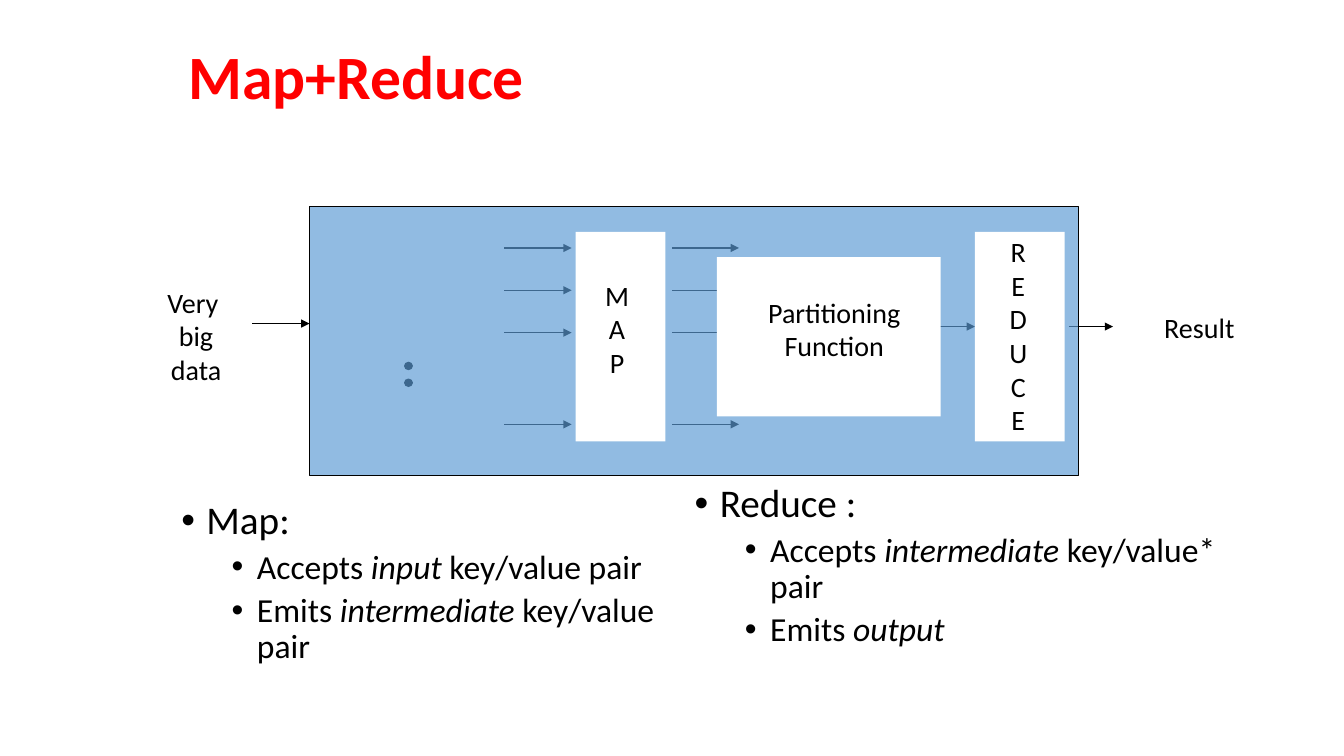
from lxml.etree import SubElement
from pptx import Presentation
from pptx.dml.color import RGBColor
from pptx.enum.dml import MSO_LINE
from pptx.enum.shapes import MSO_CONNECTOR, MSO_SHAPE
from pptx.enum.text import MSO_ANCHOR, PP_ALIGN
from pptx.oxml.ns import qn
from pptx.util import Pt

PX = 9144  # one hundredth of an inch
BLACK = RGBColor(0x00, 0x00, 0x00)
WHITE = RGBColor(0xFF, 0xFF, 0xFF)
RED = RGBColor(0xFF, 0x00, 0x00)
BLUE = RGBColor(0x5B, 0x9B, 0xD5)

deck = Presentation()
deck.slide_width, deck.slide_height = 1333 * PX, 750 * PX
page = deck.slides.add_slide(deck.slide_layouts[6])


def add_line(left, top, right, bottom, width):
    line = page.shapes.add_connector(
        MSO_CONNECTOR.STRAIGHT, left * PX, top * PX, right * PX, bottom * PX)
    line.line.color.rgb = BLACK
    line.line.width = Pt(width)
    SubElement(line._element.spPr, qn("a:effectLst"))
    return line


def add_text(left, top, width, height, lines, size, wrap=False):
    """Add a text box with one paragraph per line, and return its frame."""
    box = page.shapes.add_textbox(left * PX, top * PX, width * PX, height * PX)
    frame = box.text_frame
    frame.word_wrap = wrap
    frame.text = "\n".join(lines)
    for para in frame.paragraphs:
        para.alignment = PP_ALIGN.LEFT if wrap else PP_ALIGN.CENTER
        para.font.name = "Calibri"
        para.font.size = Pt(size)
        para.font.color.rgb = BLACK
    return frame


# Title
title = add_text(177, 33, 992, 91, ["Map+Reduce"], 44, wrap=True)
title.vertical_anchor = MSO_ANCHOR.MIDDLE
title.paragraphs[0].line_spacing = 0.9
title.paragraphs[0].font.bold = True
title.paragraphs[0].font.color.rgb = RED

# Bulleted notes; the middle part of each item is italic
notes = [
    (170, 492, 490, 233, "Map:", [("Accepts ", "input", " key/value pair"),
                                  ("Emits ", "intermediate", " key/value pair")]),
    (679, 475, 589, 231, "Reduce :", [("Accepts ", "intermediate", " key/value* pair"),
                                      ("Emits ", "output")]),
]
for left, top, width, height, heading, items in notes:
    frame = add_text(left, top, width, height, [heading] + [""] * len(items), 24, wrap=True)
    frame.paragraphs[0].font.size = Pt(28)
    for para, parts in zip(frame.paragraphs[1:], items):
        para.level = 1
        for index, part in enumerate(parts):
            span = para.add_run()
            span.text = part
            span.font.italic = index == 1
    for para in frame.paragraphs:
        para.line_spacing = 0.9
        para.space_before = Pt(5 if para.level else 10)
        properties = para._p.get_or_add_pPr()
        properties.set("marL", str((75 if para.level else 25) * PX))
        properties.set("indent", str(-25 * PX))
        SubElement(properties, qn("a:buFont"), typeface="Arial")
        SubElement(properties, qn("a:buChar"), char="•")

# Dots standing for further inputs
dots = add_line(405, 363, 405, 388, 6)
dots.line.dash_style = MSO_LINE.ROUND_DOT
dots.line._ln.set("cap", "rnd")

# Arrows into and out of each stage
arrows = [(250, 307, 321), (922, 967, 324), (1060, 1104, 324)]
for y in (246, 288, 330, 421):
    arrows += [(500, 567, y), (667, 733, y)]
for start, end, y in arrows:
    arrow = add_line(start, y, end, y, 1)
    SubElement(arrow.line._ln, qn("a:tailEnd"), type="triangle")

# Translucent panel, then the map, reduce and partitioning boxes
for left, top, width, height, colour in [
    (307, 205, 763, 267, BLUE),
    (571, 230, 89, 208, WHITE),
    (967, 230, 89, 208, WHITE),
    (711, 255, 222, 158, WHITE),
]:
    block = page.shapes.add_shape(
        MSO_SHAPE.RECTANGLE, left * PX, top * PX, width * PX, height * PX)
    block.shadow.inherit = False
    block.fill.solid()
    block.fill.fore_color.rgb = colour
    if colour == BLUE:
        block.line.color.rgb = BLACK
        block.line.width = Pt(0.75)
        tint = block._element.spPr.find(qn("a:solidFill"))[0]
        SubElement(tint, qn("a:alpha"), val="67000")
    else:
        block.line.fill.background()

# Labels
for left, top, width, height, lines in [
    (156, 278, 77, 110, ["Very ", "big", "data"]),
    (1139, 303, 101, 43, ["Result"]),
    (590, 271, 44, 110, "MAP"),
    (991, 228, 38, 210, "REDUCE"),
    (746, 288, 163, 76, ["Partitioning", "Function"]),
]:
    add_text(left, top, width, height, lines, 20)

deck.save("out.pptx")
